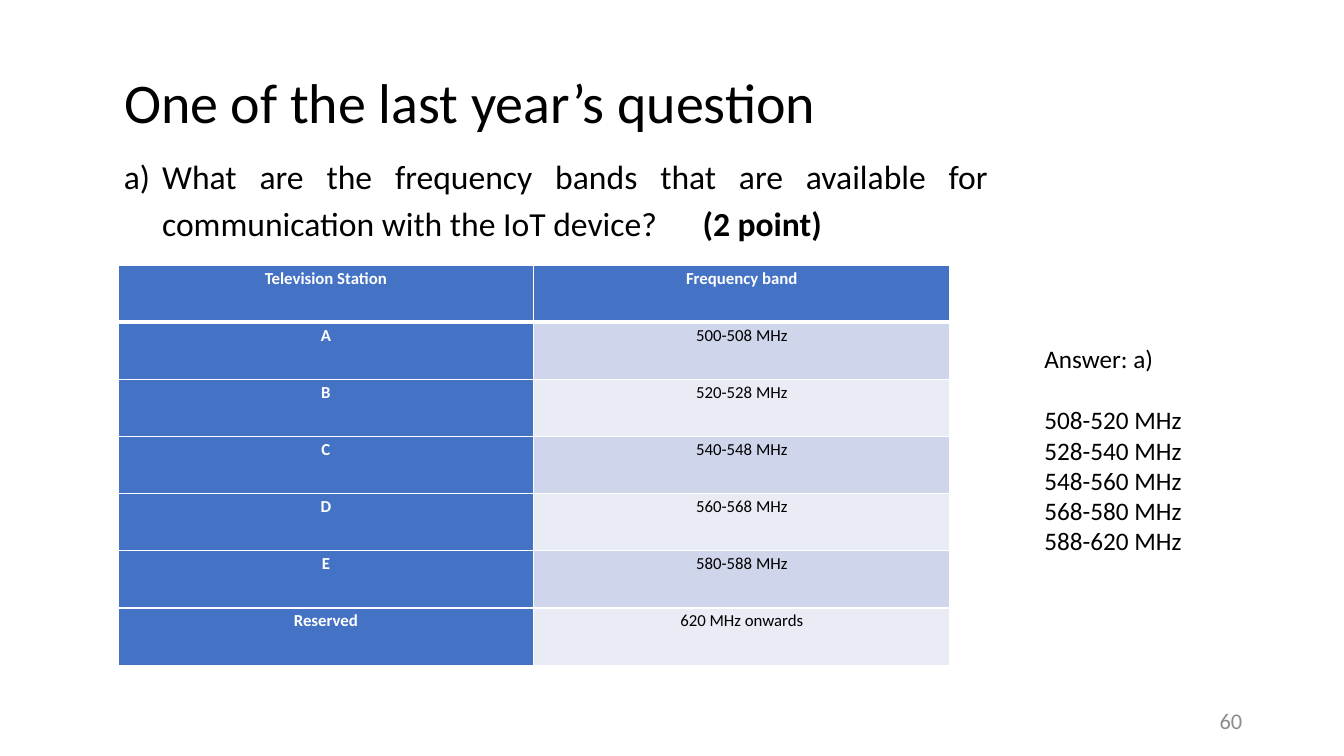
from lxml import etree
from pptx import Presentation
from pptx import util as u
from pptx.dml.color import RGBColor
from pptx.enum import text
from pptx.oxml import ns

COLORS = {"black": "000000", "white": "FFFFFF", "gray": "8C8C8C",
          "blue": "4472C4", "dark": "CFD5EA", "light": "E9EBF5"}
ALIGN = text.PP_ALIGN
MIDDLE = text.MSO_ANCHOR.MIDDLE


def style(para, size, color="black", bold=False, **form):
    for name, value in form.items():
        setattr(para, name, value)
    for run in para.runs:
        for name, value in {"name": "Calibri", "size": u.Pt(size), "bold": bold}.items():
            setattr(run.font, name, value)
        run.font.color.rgb = RGBColor.from_string(COLORS[color])


def add_box(place, anchor):
    frame = slide.shapes.add_textbox(*map(u.Inches, place)).text_frame
    frame.word_wrap = True
    frame.vertical_anchor = anchor
    return frame


deck = Presentation()
deck.slide_width, deck.slide_height = u.Inches(13.33), u.Inches(7.5)
slide = deck.slides.add_slide(deck.slide_layouts[5])

# Title
title = slide.shapes.title
place = {"left": 1.13, "top": 0.24, "width": 11.29, "height": 1.62}
for name, value in place.items():
    setattr(title, name, u.Inches(value))
title.text_frame.text = "One of the last year’s question"
title.text_frame.vertical_anchor = MIDDLE
style(title.text_frame.paragraphs[0], 40, alignment=ALIGN.LEFT, line_spacing=0.9)

# Frequency table
rows = [("Television Station", "Frequency band"),
        ("A", "500-508 MHz"), ("B", "520-528 MHz"), ("C", "540-548 MHz"),
        ("D", "560-568 MHz"), ("E", "580-588 MHz"),
        ("Reserved", "620 MHz onwards")]
table = slide.shapes.add_table(
    len(rows), 2, *map(u.Inches, (1.17, 2.63, 8.25, 3.97))).table
margins = {"margin_left": 0.07, "margin_right": 0.07, "margin_top": 0, "margin_bottom": 0}
for r, row in enumerate(rows):
    for c, words in enumerate(row):
        cell = table.cell(r, c)
        head = r == 0 or c == 0
        cell.text = words
        for name, value in margins.items():
            setattr(cell, name, u.Inches(value))
        style(cell.text_frame.paragraphs[0], 12, "white" if head else "black", head,
              alignment=ALIGN.CENTER, line_spacing=1.15, space_after=u.Pt(10))
        # Borders come before the fill in the cell properties
        props = cell._tc.get_or_add_tcPr()
        for side in "LRTB":
            thick = (r == 0 and side == "B") or (r == 1 and side == "T")
            line = etree.SubElement(props, ns.qn("a:ln" + side), w=str(u.Pt(3 if thick else 1)))
            fill = etree.SubElement(line, ns.qn("a:solidFill"))
            etree.SubElement(fill, ns.qn("a:srgbClr"), val=COLORS["white"])
        cell.fill.solid()
        tint = "blue" if head else "dark" if r % 2 else "light"
        cell.fill.fore_color.rgb = RGBColor.from_string(COLORS[tint])

# Slide number
frame = add_box((9.42, 6.95, 3, 0.4), MIDDLE)
frame.text = "60"
style(frame.paragraphs[0], 16, "gray", alignment=ALIGN.RIGHT)

# Question, lettered, with a tab before the points
frame = add_box((1.13, 1.45, 8.77, 1), MIDDLE)
para = frame.paragraphs[0]
props = para._p.get_or_add_pPr()
props.set("marL", str(u.Inches(0.38)))
props.set("indent", str(u.Inches(-0.38)))
etree.SubElement(props, ns.qn("a:buAutoNum"), type="alphaLcParenR")
tabs = etree.SubElement(props, ns.qn("a:tabLst"))
etree.SubElement(tabs, ns.qn("a:tab"), pos=str(u.Inches(5.74)), algn="l")
para.add_run().text = ("What are the frequency bands that are available for "
                       "communication with the IoT device?\t")
points = para.add_run()
points.text = "(2 point)"
style(para, 24, alignment=ALIGN.JUSTIFY, line_spacing=1.15)
points.font.bold = True

# Answer
frame = add_box((9.76, 3.36, 3, 2.22), text.MSO_ANCHOR.TOP)
frame.text = "\n".join(["Answer: a)", "508-520 MHz", "528-540 MHz", "548-560 MHz",
                        "568-580 MHz", "588-620 MHz"])
for para in frame.paragraphs:
    para._p.get_or_add_pPr().set("marL", str(u.Inches(0.5)))
    style(para, 18)
frame.paragraphs[1].space_before = u.Pt(22)

deck.save("out.pptx")
